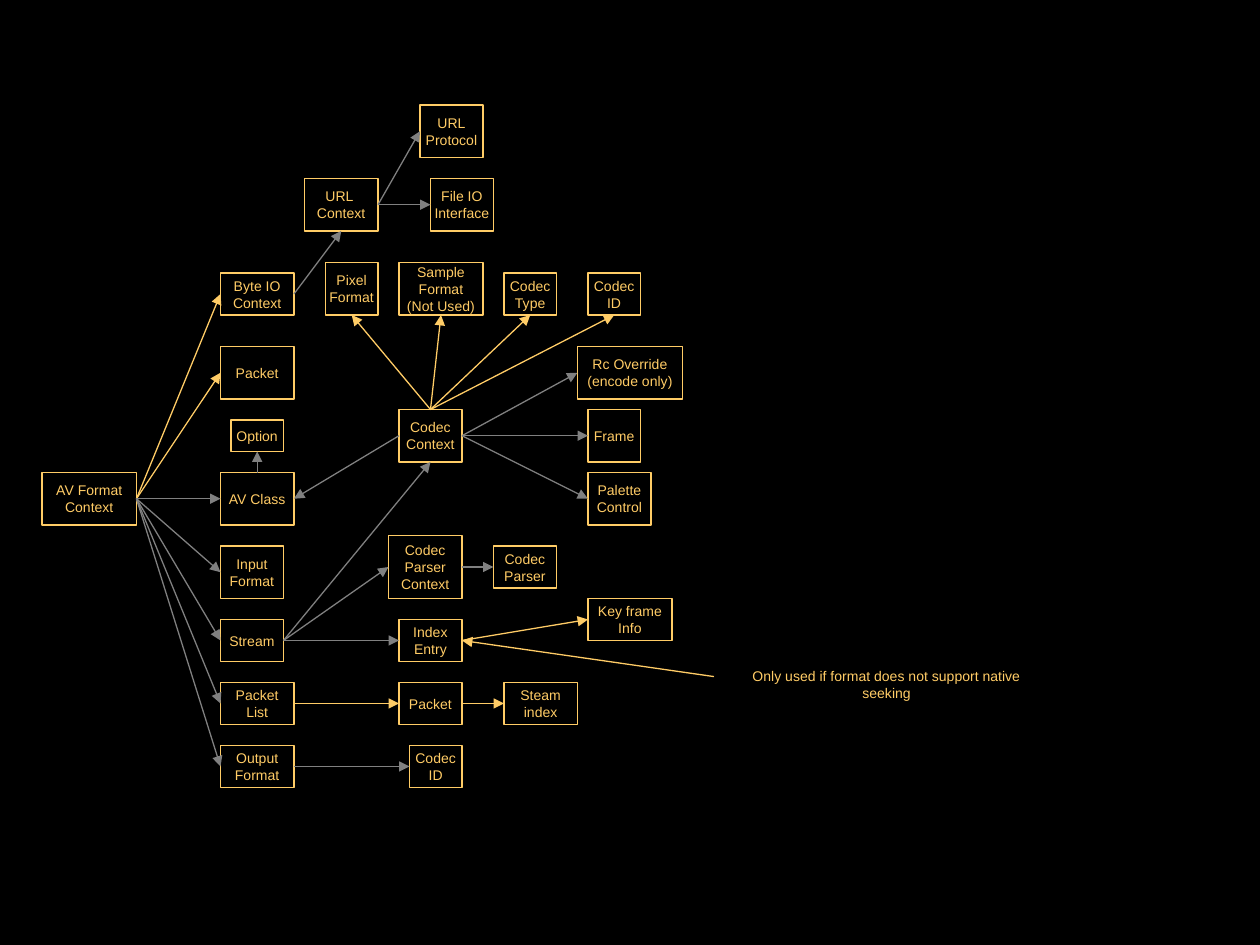
import pptx
import pptx.util
import pptx.dml.color
import pptx.enum.shapes
import pptx.enum.text
import pptx.oxml.ns
import lxml.etree

PX = 9525  # EMU per px, 96 px to the inch
COLORS = {"back": "000000", "gold": "FFCC66", "gray": "808080"}
TOP, LEFT, BASE, RIGHT = range(4)


def px(*nums):
    return [pptx.util.Emu(n * PX) for n in nums]


def rgb(name):
    return pptx.dml.color.RGBColor.from_string(COLORS[name])


def write(shape, text, size=8, color="gold", font="Arial", anchor="MIDDLE"):
    frame = shape.text_frame
    frame.word_wrap = False
    frame.vertical_anchor = getattr(pptx.enum.text.MSO_ANCHOR, anchor)
    for i, line in enumerate(text.split("\n")):
        para = frame.add_paragraph() if i else frame.paragraphs[0]
        para.alignment = pptx.enum.text.PP_ALIGN.CENTER
        run = para.add_run()
        run.text = line
        run.font.size = pptx.util.Pt(size)
        run.font.name = font
        run.font.color.rgb = rgb(color)


def node(slide, text, x, y, w, h):
    shape = slide.shapes.add_shape(
        pptx.enum.shapes.MSO_SHAPE.RECTANGLE, *px(x, y, w, h))
    shape.shadow.inherit = False
    shape.fill.background()
    shape.line.color.rgb = rgb("gold")
    shape.line.width = pptx.util.Pt(0.75)
    write(shape, text)
    return shape


def place(slide, box, parts):
    """Draw named nodes relative to the corner of a region."""
    left, top = box
    return {key: node(slide, text, left + x, top + y, w, h)
            for key, (text, x, y, w, h) in parts.items()}


def link(slide, start, end, color="gray", out=RIGHT, into=LEFT):
    line = slide.shapes.add_connector(
        pptx.enum.shapes.MSO_CONNECTOR.STRAIGHT, 0, 0, 0, 0)
    line.begin_connect(start, out)
    line.end_connect(end, into)
    line.line.color.rgb = rgb(color)
    line.line.width = pptx.util.Pt(0.75)
    qn = pptx.oxml.ns.qn
    lxml.etree.SubElement(line.line._get_or_add_ln(), qn("a:tailEnd"), type="triangle")
    lxml.etree.SubElement(line._element.spPr, qn("a:effectLst"))


def draw_format(slide, box):
    # Format context and its direct members
    nodes = place(slide, box, {
        "root": ("AV Format\nContext", 0, 152, 72, 40),
        "byte": ("Byte IO\nContext", 136, 0, 56, 32),
        "packet": ("Packet", 136, 56, 56, 40),
        "option": ("Option", 144, 112, 40, 24),
        "class": ("AV Class", 136, 152, 56, 40),
        "input": ("Input\nFormat", 136, 208, 48, 40),
        "stream": ("Stream", 136, 264, 48, 32),
        "list": ("Packet\nList", 136, 312, 56, 32),
        "output": ("Output\nFormat", 136, 360, 56, 32),
    })
    for key in ("byte", "packet"):
        link(slide, nodes["root"], nodes[key], "gold")
    for key in ("class", "input", "stream", "list", "output"):
        link(slide, nodes["root"], nodes[key])
    # The option box sits off the class box's middle line by no px
    link(slide, nodes["class"], nodes["option"], out=TOP, into=BASE)
    return nodes


def draw_url(slide, box):
    # URL context, protocol and file interface
    nodes = place(slide, box, {
        "url": ("URL \nContext", 0, 56, 56, 40),
        "proto": ("URL\nProtocol", 88, 0, 48, 40),
        "file": ("File IO\nInterface", 96, 56, 48, 40),
    })
    for key in ("proto", "file"):
        link(slide, nodes["url"], nodes[key])
    return nodes


def draw_codec(slide, box):
    # Codec context with formats above and structures to the right
    nodes = place(slide, box, {
        "codec": ("Codec\nContext", 56, 112, 48, 40),
        "pixel": ("Pixel\nFormat", 0, 0, 40, 40),
        "sample": ("Sample\nFormat\n(Not Used)", 56, 0, 64, 40),
        "type": ("Codec\nType", 136, 8, 40, 32),
        "id": ("Codec\nID", 200, 8, 40, 32),
        "over": ("Rc Override\n(encode only)", 192, 64, 80, 40),
        "frame": ("Frame", 200, 112, 40, 40),
        "palette": ("Palette\nControl", 200, 160, 48, 40),
    })
    for key in ("pixel", "sample", "type", "id"):
        link(slide, nodes["codec"], nodes[key], "gold", TOP, BASE)
    for key in ("over", "frame", "palette"):
        link(slide, nodes["codec"], nodes[key])
    return nodes


def draw_stream(slide, box):
    # Parser, index and packet rows, with the seeking note
    nodes = place(slide, box, {
        "context": ("Codec\nParser\nContext", 0, 0, 56, 48),
        "parser": ("Codec\nParser", 80, 8, 48, 32),
        "index": ("Index\nEntry", 8, 64, 48, 32),
        "key": ("Key frame\nInfo", 152, 48, 64, 32),
        "packet": ("Packet", 8, 112, 48, 32),
        "steam": ("Steam\nindex", 88, 112, 56, 32),
        "id": ("Codec\nID", 16, 160, 40, 32),
    })
    left, top = box
    note = slide.shapes.add_textbox(*px(left + 248, top + 96, 263, 23))
    write(note, "Only used if format does not support native seeking", anchor="TOP")
    link(slide, nodes["context"], nodes["parser"])
    link(slide, nodes["index"], nodes["key"], "gold")
    link(slide, nodes["packet"], nodes["steam"], "gold")
    link(slide, note, nodes["index"], "gold", LEFT, RIGHT)
    return nodes


def main():
    deck = pptx.Presentation()
    deck.slide_width, deck.slide_height = px(960, 720)
    slide = deck.slides.add_slide(deck.slide_layouts[6])
    fill = slide.background.fill
    fill.solid()
    fill.fore_color.rgb = rgb("back")

    form = draw_format(slide, (32, 208))
    url = draw_url(slide, (232, 80))
    codec = draw_codec(slide, (248, 200))
    stream = draw_stream(slide, (296, 408))

    # Arrows between regions
    link(slide, form["byte"], url["url"], into=BASE)
    link(slide, codec["codec"], form["class"], out=LEFT, into=RIGHT)
    link(slide, form["stream"], codec["codec"], into=BASE)
    link(slide, form["stream"], stream["context"])
    link(slide, form["stream"], stream["index"])
    link(slide, form["list"], stream["packet"], "gold")
    link(slide, form["output"], stream["id"])
    deck.save("out.pptx")


if __name__ == "__main__":
    main()
